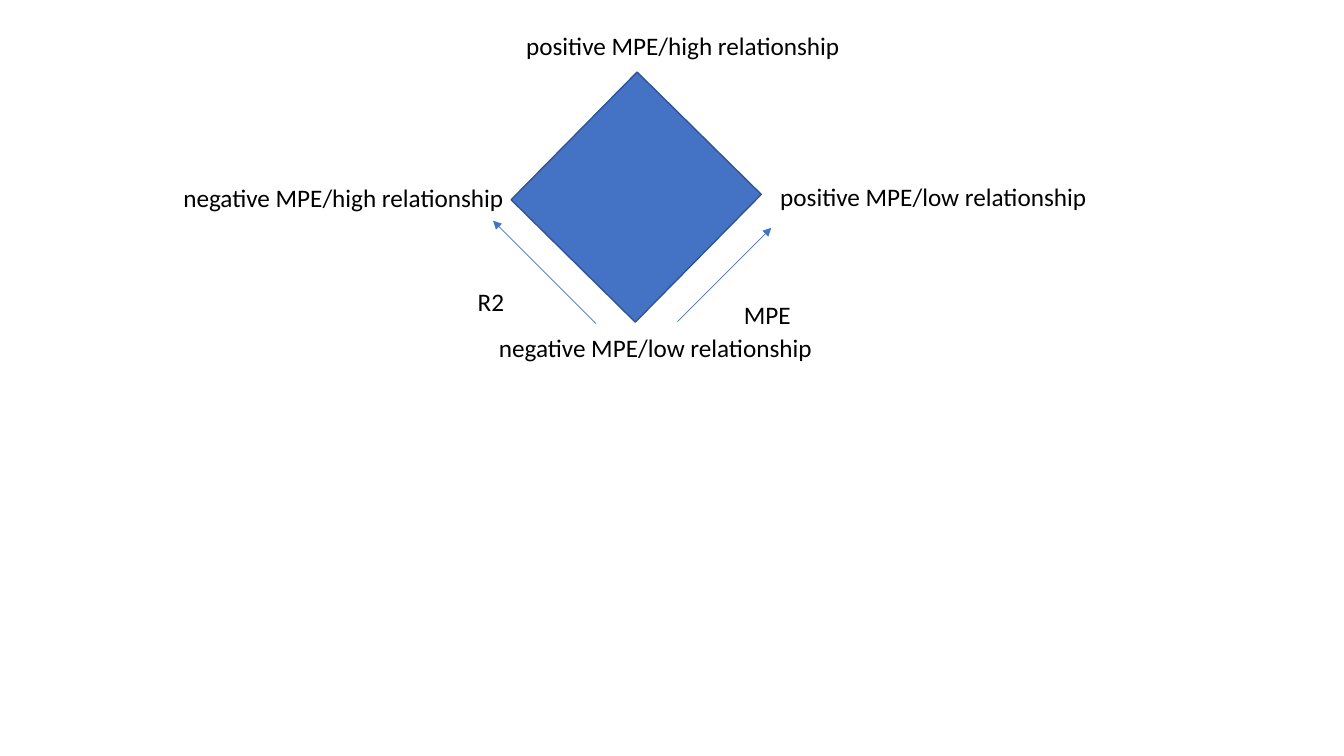
from lxml import etree
from pptx import Presentation
from pptx.dml.color import RGBColor
from pptx.enum import shapes, text
from pptx.oxml import ns
from pptx.util import Inches, Pt

COLOURS = {"blue": "4472C4", "edge": "325491", "ink": "000000"}
FONT = "Calibri"
LABEL_HEIGHT = 0.4

# Label: wording, left, top, width, measured from the diagram's corner
LABELS = [
    ("MPE", 5.56, 2.67, 0.86),
    ("R2", 2.92, 2.54, 0.86),
    ("positive MPE/low relationship", 5.92, 1.5, 3.53),
    ("negative MPE/high relationship", 0, 1.51, 3.4),
    ("positive MPE/high relationship", 3.4, 0, 3.53),
    ("negative MPE/low relationship", 3.13, 3, 3.53),
]
# Arrow: start x, start y, end x, end y, measured from the same corner
ARROWS = [(5, 2.94, 5.93, 2.01), (4.19, 2.96, 3.17, 1.94)]


def colour(name):
    return RGBColor.from_string(COLOURS[name])


def add_diamond(page, left, top, width, height):
    diamond = page.shapes.add_shape(
        shapes.MSO_SHAPE.RECTANGLE,
        Inches(left), Inches(top), Inches(width), Inches(height))
    diamond.rotation = 314.6
    diamond.shadow.inherit = False
    diamond.fill.solid()
    diamond.fill.fore_color.rgb = colour("blue")
    diamond.line.color.rgb = colour("edge")
    diamond.line.width = Pt(1)


def add_arrow(page, *ends):
    arrow = page.shapes.add_connector(
        shapes.MSO_CONNECTOR.STRAIGHT, *map(Inches, ends))
    arrow.line.color.rgb = colour("blue")
    arrow.line.width = Pt(0.5)
    etree.SubElement(arrow.line._get_or_add_ln(), ns.qn("a:tailEnd"), type="triangle")
    etree.SubElement(arrow._element.spPr, ns.qn("a:effectLst"))


def add_label(page, wording, left, top, width):
    box = page.shapes.add_textbox(
        Inches(left), Inches(top), Inches(width), Inches(LABEL_HEIGHT))
    frame = box.text_frame
    frame.word_wrap = True
    frame.auto_size = text.MSO_AUTO_SIZE.SHAPE_TO_FIT_TEXT
    frame.text = wording
    font = frame.paragraphs[0].runs[0].font
    font.name = FONT
    font.size = Pt(18)
    font.color.rgb = colour("ink")


def add_relationship_diagram(page, left, top):
    """Place the diamond, its two axis arrows and the labels."""
    add_diamond(page, left + 3.7, top + 0.84, 1.78, 1.73)
    for x1, y1, x2, y2 in ARROWS:
        add_arrow(page, left + x1, top + y1, left + x2, top + y2)
    for wording, x, y, width in LABELS:
        add_label(page, wording, left + x, top + y, width)


def main():
    deck = Presentation()
    deck.slide_width = Inches(13.33)
    deck.slide_height = Inches(7.5)
    page = deck.slides.add_slide(deck.slide_layouts[6])
    add_relationship_diagram(page, 1.72, 0.25)
    deck.save("out.pptx")


if __name__ == "__main__":
    main()
